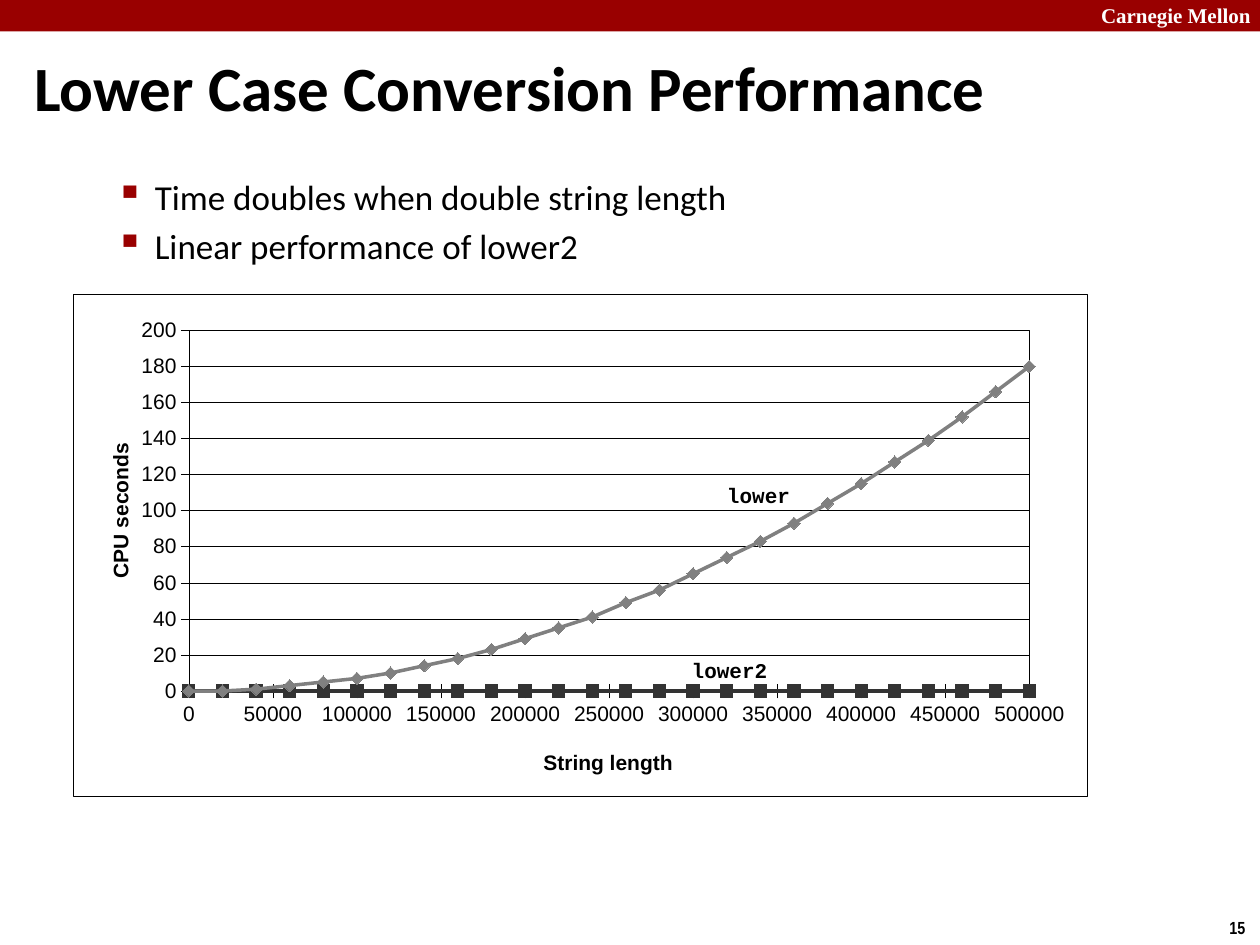
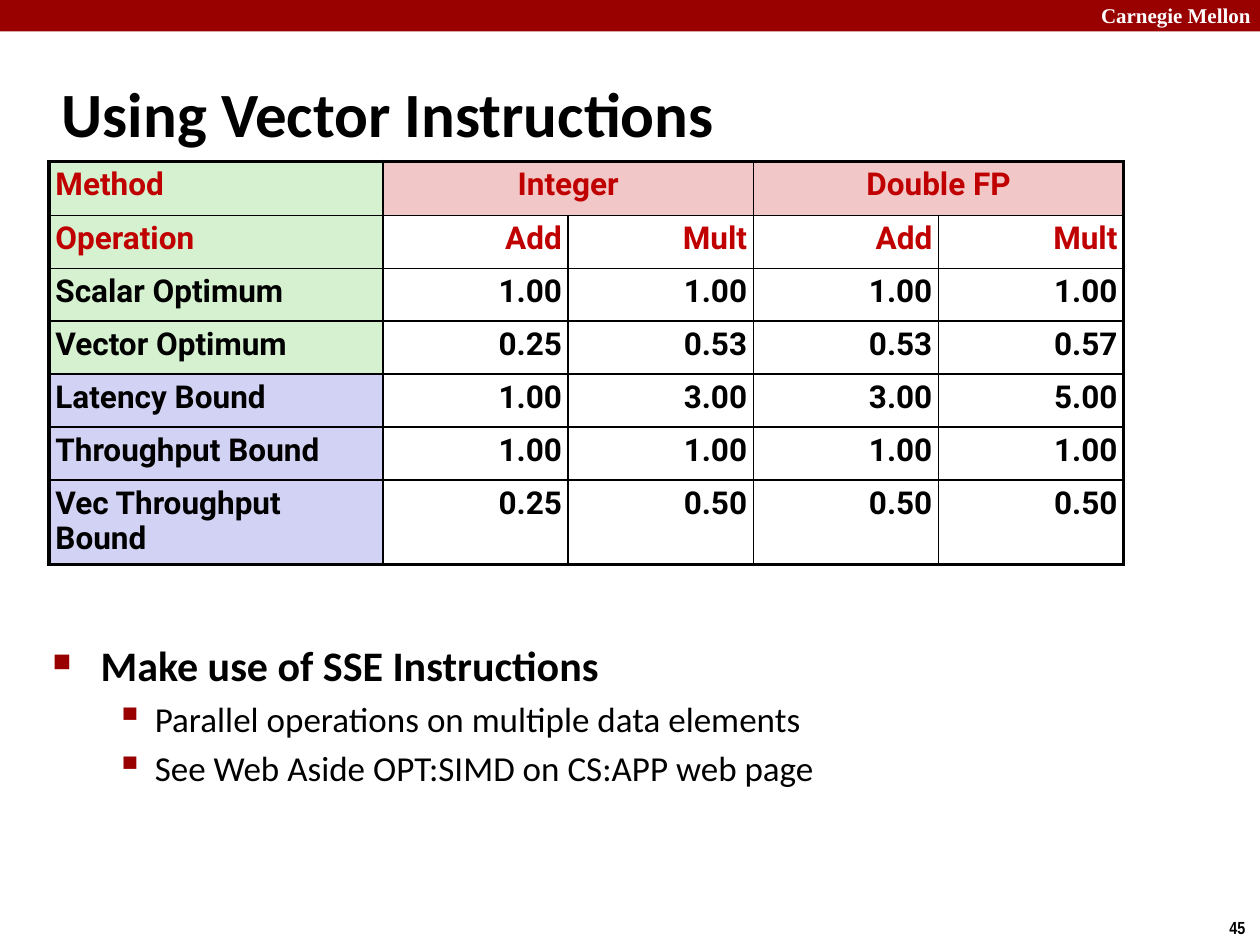
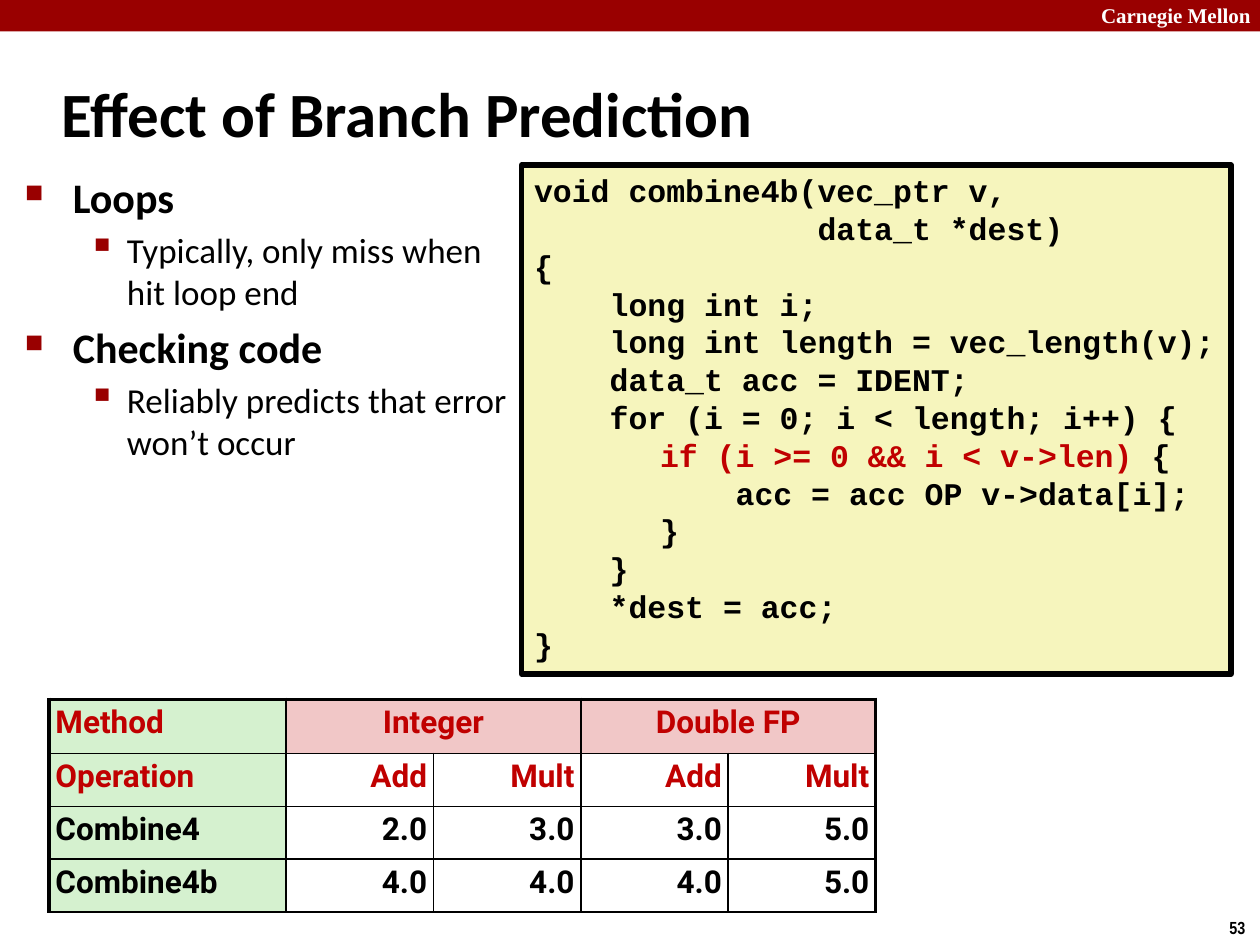
from lxml.etree import SubElement
from pptx import Presentation
from pptx.chart.data import XyChartData
from pptx.dml.color import RGBColor
from pptx.enum.chart import XL_CHART_TYPE as ChartType, XL_MARKER_STYLE as Marker, XL_TICK_MARK as Tick
from pptx.enum.shapes import MSO_SHAPE as Shape
from pptx.enum.text import MSO_ANCHOR as Anchor, MSO_AUTO_SIZE as AutoSize, PP_ALIGN as Align
from pptx.oxml import parse_xml
from pptx.oxml.ns import nsdecls, qn
from pptx.util import Inches, Pt

COLORS = {
    "band": "990000", "white": "FFFFFF", "black": "000000", "red": "C00000",
    "green": "D5F1CF", "pink": "F1C7C7", "lavender": "D2D2F4", "code": "F6F5BD",
    "lower": "808080", "lower2": "333333",
}
# Outline level: left margin, hanging indent, size, bold, bullet, bullet percent
LEVELS = [
    (0.38, 0.38, 24, True, "■", 60),
    (0.81, 0.31, 20, False, "▪", 110),
]
LOWER_SECONDS = [0, 0, 1, 3, 5, 7, 10, 14, 18, 23, 29, 35, 41, 49, 56, 65, 74,
                 83, 93, 104, 115, 127, 139, 152, 166, 180]
HEADINGS = ["Operation", "Add", "Mult", "Add", "Mult"]
CODE = [
    "void combine4b(vec_ptr v,",
    "               data_t *dest)",
    "{",
    "    long int i;",
    "    long int length = vec_length(v);",
    "    data_t acc = IDENT;",
    "    for (i = 0; i < length; i++) {",
    "\tif (i >= 0 && i < v->len) {",
    "\t    acc = acc OP v->data[i];",
    "\t}",
    "    }",
    "    *dest = acc;",
    "}",
]
CHECK = "if (i >= 0 && i < v->len) "


def rgb(name):
    return RGBColor.from_string(COLORS[name])


def add_span(para, text, size, font="Calibri", color="black", bold=True):
    span = para.add_run()
    span.text = text
    span.font.size = Pt(size)
    span.font.name = font
    span.font.bold = bold
    span.font.color.rgb = rgb(color)


def next_para(frame, index):
    return frame.add_paragraph() if index else frame.paragraphs[0]


def set_insets(target, left, top, right, bottom):
    target.margin_left, target.margin_top = Inches(left), Inches(top)
    target.margin_right, target.margin_bottom = Inches(right), Inches(bottom)


def add_box(page, left, top, width, height, wrap=True):
    box = page.shapes.add_textbox(Inches(left), Inches(top), Inches(width), Inches(height))
    box.text_frame.word_wrap = wrap
    return box.text_frame


def add_rect(page, left, top, width, height, fill):
    rect = page.shapes.add_shape(
        Shape.RECTANGLE, Inches(left), Inches(top), Inches(width), Inches(height))
    rect.shadow.inherit = False
    rect.fill.solid()
    rect.fill.fore_color.rgb = rgb(fill)
    rect.line.fill.background()
    return rect


def add_page(deck, title, number, left=0.39, top=0.48, width=8.3, height=0.83):
    page = deck.slides.add_slide(deck.slide_layouts[5])
    # Band and page number
    add_rect(page, 0, 0, 10, 0.25, "band")
    frame = add_box(page, 8.64, -0.03, 1.43, 0.3)
    add_span(frame.paragraphs[0], "Carnegie Mellon", 12, "Times New Roman", "white")
    frame = add_box(page, 9.66, 7.23, 0.34, 0.27, wrap=False)
    add_span(frame.paragraphs[0], str(number), 10, "Arial Narrow")
    # Title
    box = page.shapes.title
    box.left, box.top = Inches(left), Inches(top)
    box.width, box.height = Inches(width), Inches(height)
    frame = box.text_frame
    frame.vertical_anchor = Anchor.MIDDLE
    frame.auto_size = AutoSize.NONE
    para = frame.paragraphs[0]
    para.alignment = Align.LEFT
    add_span(para, title, 36)
    return page


def add_outline(page, left, top, width, height, items):
    frame = add_box(page, left, top, width, height)
    for index, (level, text) in enumerate(items):
        margin, hanging, size, bold, bullet, percent = LEVELS[level]
        para = next_para(frame, index)
        para.level = level
        props = para._p.get_or_add_pPr()
        props.set("marL", str(Inches(margin)))
        props.set("indent", str(-Inches(hanging)))
        tint = SubElement(props, qn("a:buClr"))
        SubElement(tint, qn("a:srgbClr"), val=COLORS["band"])
        SubElement(props, qn("a:buSzPct"), val=str(percent * 1000))
        SubElement(props, qn("a:buChar"), char=bullet)
        if index:
            para.space_before = Pt(size * 0.2)
        add_span(para, text, size, bold=bold)


# Chart
def manual_layout(x, y, size=None):
    target = '<c:layoutTarget val="inner"/>' if size else ""
    extent = f'<c:w val="{size[0]}"/><c:h val="{size[1]}"/>' if size else ""
    return parse_xml(
        f'<c:layout {nsdecls("c")}><c:manualLayout>{target}<c:xMode val="edge"/>'
        f'<c:yMode val="edge"/><c:x val="{x}"/><c:y val="{y}"/>{extent}'
        "</c:manualLayout></c:layout>")


def chart_frame(fill):
    return parse_xml(
        f'<c:spPr {nsdecls("c", "a")}>{fill}<a:ln w="{Pt(0.25)}"><a:solidFill>'
        f'<a:srgbClr val="{COLORS["black"]}"/></a:solidFill></a:ln></c:spPr>')


def replace_layout(parent, index, layout):
    for old in parent.findall(qn("c:layout")):
        parent.remove(old)
    parent.insert(index, layout)


def thin_line(line):
    line.color.rgb = rgb("black")
    line.width = Pt(0.25)


def format_axis(axis, title, maximum, unit, title_at):
    axis.minimum_scale, axis.maximum_scale, axis.major_unit = 0, maximum, unit
    axis.major_tick_mark, axis.minor_tick_mark = Tick.CROSS, Tick.NONE
    axis.tick_labels.font.size = Pt(12)
    axis.tick_labels.number_format = "General"
    axis.tick_labels.number_format_is_linked = False
    thin_line(axis.format.line)
    add_span(axis.axis_title.text_frame.paragraphs[0], title, 12, "Arial")
    replace_layout(axis.axis_title.element, 1, manual_layout(*title_at))


def add_timing_chart(page):
    data = XyChartData()
    for name, seconds in (("Series 1", LOWER_SECONDS), ("Series 2", [0] * len(LOWER_SECONDS))):
        series = data.add_series(name)
        for step, value in enumerate(seconds):
            series.add_data_point(step * 20000, value)
    chart = page.shapes.add_chart(
        ChartType.XY_SCATTER_SMOOTH, Inches(0.58), Inches(2.33),
        Inches(8.05), Inches(3.99), data).chart
    chart.has_legend = chart.has_title = False
    chart.font.size, chart.font.name = Pt(12), "Arial"
    chart.font.color.rgb = rgb("black")

    format_axis(chart.category_axis, "String length", 500000, 50000, (0.46, 0.9))
    format_axis(chart.value_axis, "CPU seconds", 200, 20, (0.03, 0.29))
    chart.category_axis.has_major_gridlines = False
    chart.value_axis.has_major_gridlines = True
    thin_line(chart.value_axis.major_gridlines.format.line)

    plot = chart.plots[0]
    plot.vary_by_categories = False
    styles = (("lower", Marker.DIAMOND), ("lower2", Marker.SQUARE))
    for series, (color, marker) in zip(plot.series, styles):
        series.smooth = True
        series.format.line.color.rgb = rgb(color)
        series.format.line.width = Pt(2)
        series.marker.style, series.marker.size = marker, 7
        series.marker.format.fill.solid()
        series.marker.format.fill.fore_color.rgb = rgb(color)
        series.marker.format.line.color.rgb = rgb(color)

    # Plot position, and frames of the plot and the whole chart
    body = chart.element.find(qn("c:chart"))
    area = body.find(qn("c:plotArea"))
    replace_layout(area, 0, manual_layout(0.114, 0.073, (0.829, 0.718)))
    area.append(chart_frame("<a:noFill/>"))
    body.addnext(chart_frame(
        f'<a:solidFill><a:srgbClr val="{COLORS["white"]}"/></a:solidFill>'))


def add_curve_label(page, left, top, text):
    frame = add_box(page, left, top, 0.73, 0.26, wrap=False)
    set_insets(frame, 0.03, 0.03, 0, 0)
    add_span(frame.paragraphs[0], text, 12, "Courier New")


# Table
def set_borders(cell, widths):
    props = cell._tc.get_or_add_tcPr()
    for index, (side, width) in enumerate(zip("LRTB", widths)):
        props.insert(index, parse_xml(
            f'<a:ln{side} {nsdecls("a")} w="{Pt(width)}"><a:solidFill>'
            f'<a:srgbClr val="{COLORS["black"]}"/></a:solidFill></a:ln{side}>'))


def cell_fill(row, col, bounds_row):
    if col == 0:
        return "lavender" if row >= bounds_row else "green"
    return "pink" if row == 0 else None


def add_results(page, top, first_width, width, results, bounds_row, closed=True):
    rows = [["Method", "Integer", "", "Double FP", ""], HEADINGS] + results
    widths = [first_width] + [width] * 4
    heights = [0.43] + [0.42] * (len(rows) - 1)
    table = page.shapes.add_table(
        len(rows), len(widths), Inches(0.39), Inches(top),
        Inches(sum(widths)), Inches(sum(heights))).table
    table.first_row = table.horz_banding = False
    for column, size in zip(table.columns, widths):
        column.width = Inches(size)
    for line, size in zip(table.rows, heights):
        line.height = Inches(size)
    for col in (1, 3):
        table.cell(0, col).merge(table.cell(0, col + 1))

    for row, texts in enumerate(rows):
        for col, text in enumerate(texts):
            cell = table.cell(row, col)
            set_insets(cell, 0.05, 0.05, 0.05, 0.05)
            fill = cell_fill(row, col, bounds_row)
            if fill:
                cell.fill.solid()
                cell.fill.fore_color.rgb = rgb(fill)
            else:
                cell.fill.background()
            at_right = col + cell.span_width == len(widths)
            at_bottom = closed and row == len(rows) - 1
            outer = (col == 0, at_right, row == 0, at_bottom)
            set_borders(cell, [2.25 if edge else 1 for edge in outer])
            if text:
                para = cell.text_frame.paragraphs[0]
                para.line_spacing = 0.95
                para.alignment = (Align.LEFT if col == 0 else
                                  Align.CENTER if row == 0 else Align.RIGHT)
                add_span(para, text, 18, "Roboto", "red" if row < 2 else "black")


# Code listing
def add_code(page):
    rect = add_rect(page, 4.14, 1.31, 5.63, 4.04, "code")
    rect.line.color.rgb = rgb("black")
    rect.line.width = Pt(3)
    frame = rect.text_frame
    frame.word_wrap = False
    frame.auto_size = AutoSize.SHAPE_TO_FIT_TEXT
    frame.vertical_anchor = Anchor.TOP
    set_insets(frame, 0.1, 0.05, 0.1, 0.05)
    for index, line in enumerate(CODE):
        para = next_para(frame, index)
        tabs = SubElement(para._p.get_or_add_pPr(), qn("a:tabLst"))
        for stop in (1, 2.5):
            SubElement(tabs, qn("a:tab"), pos=str(Inches(stop)), algn="l")
        para.alignment = Align.LEFT
        para.line_spacing = Pt(21.6)
        before, check, after = line.partition(CHECK)
        for text, color in ((before, "black"), (check, "red"), (after, "black")):
            if text:
                add_span(para, text, 18, "Courier New", color)


def main():
    deck = Presentation()
    deck.slide_width, deck.slide_height = Inches(10), Inches(7.5)

    # Timing of the two conversions
    page = add_page(deck, "Lower Case Conversion Performance", 15, 0.17, 0.37, 9.58, 0.63)
    add_outline(page, 0.32, 1.34, 9.09, 0.99, [
        (1, "Time doubles when double string length"),
        (1, "Linear performance of lower2"),
    ])
    add_timing_chart(page)
    add_curve_label(page, 5.74, 3.8, "lower")
    add_curve_label(page, 5.46, 5.19, "lower2")

    # Vector results
    page = add_page(deck, "Using Vector Instructions", 45)
    add_outline(page, 0.32, 5.03, 9.09, 2.05, [
        (0, "Make use of SSE Instructions"),
        (1, "Parallel operations on multiple data elements"),
        (1, "See Web Aside OPT:SIMD on CS:APP web page"),
    ])
    add_results(page, 1.28, 2.65, 1.47, [
        ["Scalar Optimum", "1.00", "1.00", "1.00", "1.00"],
        ["Vector Optimum", "0.25", "0.53", "0.53", "0.57"],
        ["Latency Bound", "1.00", "3.00", "3.00", "5.00"],
        ["Throughput Bound", "1.00", "1.00", "1.00", "1.00"],
        ["Vec Throughput Bound", "0.25", "0.50", "0.50", "0.50"],
    ], bounds_row=4)

    # Branch prediction
    page = add_page(deck, "Effect of Branch Prediction", 53)
    add_outline(page, 0.1, 1.31, 4.07, 5.44, [
        (0, "Loops"),
        (1, "Typically, only miss when hit loop end"),
        (0, "Checking code"),
        (1, "Reliably predicts that error won’t occur"),
    ])
    add_code(page)
    add_results(page, 5.55, 1.88, 1.17, [
        ["Combine4", "2.0", "3.0", "3.0", "5.0"],
        ["Combine4b", "4.0", "4.0", "4.0", "5.0"],
    ], bounds_row=4, closed=False)

    deck.save("out.pptx")


if __name__ == "__main__":
    main()
